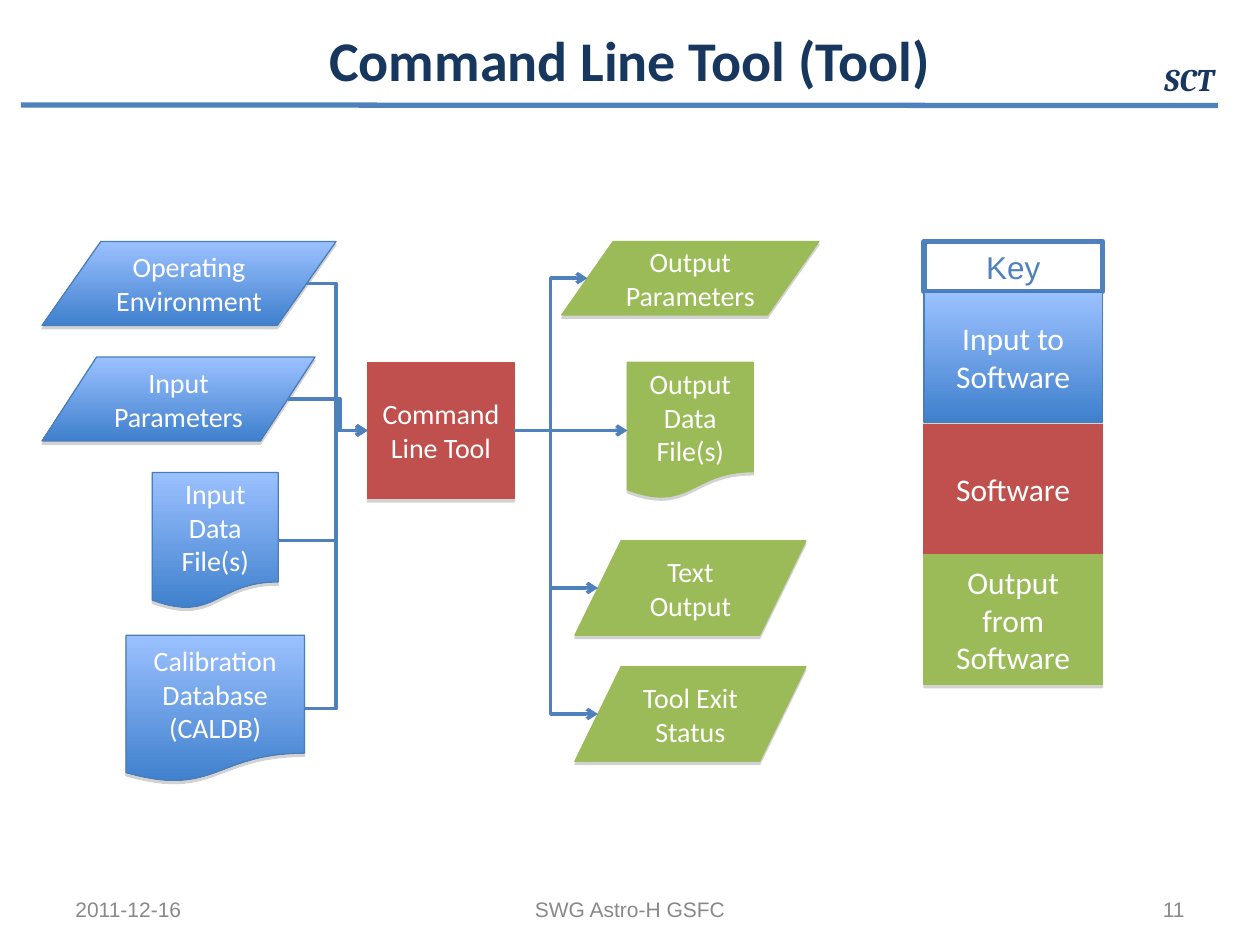
from lxml import etree
from pptx import Presentation
from pptx.dml.color import RGBColor
from pptx.enum.shapes import MSO_CONNECTOR, MSO_SHAPE
from pptx.enum.text import MSO_ANCHOR, PP_ALIGN
from pptx.oxml.ns import qn
from pptx.util import Inches, Pt

RECTANGLE = MSO_SHAPE.RECTANGLE
PROCESS = MSO_SHAPE.FLOWCHART_PROCESS
DOCUMENT = MSO_SHAPE.FLOWCHART_DOCUMENT
DATA = MSO_SHAPE.FLOWCHART_DATA
STRAIGHT = MSO_CONNECTOR.STRAIGHT
ELBOW = MSO_CONNECTOR.ELBOW
LEFT, CENTER, RIGHT = PP_ALIGN.LEFT, PP_ALIGN.CENTER, PP_ALIGN.RIGHT
MIDDLE, TOP = MSO_ANCHOR.MIDDLE, MSO_ANCHOR.TOP

CELLS_PER_INCH = 24
NAVY, BLUE, EDGE, GREY, WHITE = "17375E", "4F81BD", "4A7EBB", "898989", "FFFFFF"
RED, GREEN, GRADIENT = "C0504D", "9BBB59", ("9BC1FF", "3F80CD")

TOOL = (PROCESS, 70, 69, 28, 26, "Command Line Tool")
INPUTS = [
    (DATA, 8, 46, 56, 16, "Operating Environment", 64),
    (DATA, 8, 68, 52, 16, "Input Parameters", 64.8),
    (DOCUMENT, 29, 90, 24, 26, "Input Data File(s)", 63.9),
    (DOCUMENT, 24, 121, 34, 28, "Calibration Database (CALDB)", 64),
]
OUTPUT_FILE = (DOCUMENT, 119.5, 69, 24, 26, "Output Data File(s)")
OUTPUTS = [
    (DATA, 107, 46, 49, 14, "Output Parameters"),
    (DATA, 109.5, 103, 44, 18, "Text Output"),
    (DATA, 109.5, 127, 44, 18, "Tool Exit Status"),
]
OUTPUT_BEND = 104.9
KEY = [("Input to Software", GRADIENT, 55.6),
       ("Software", RED, 80.8),
       ("Output from Software", GREEN, 105.6)]
FOOTERS = [("2011-12-16", 12, 56, LEFT),
           ("SWG Astro-H GSFC", 82, 76, CENTER),
           ("11", 172, 56, RIGHT)]


def cells(count):
    return Inches(count / CELLS_PER_INCH)


def color(value):
    return RGBColor.from_string(value)


def write(box, text, size, font, tint, align=CENTER, anchor=MIDDLE, wrap=True, **style):
    frame = box.text_frame
    frame.word_wrap = wrap
    frame.vertical_anchor = anchor
    para = frame.paragraphs[0]
    para.alignment = align
    span = para.add_run()
    span.text = text
    span.font.size = Pt(size)
    span.font.name = font
    span.font.color.rgb = color(tint)
    for name, value in style.items():
        setattr(span.font, name, value)


def add_label(page, column, row, width, height, text, size, font, tint, **style):
    box = page.shapes.add_textbox(*map(cells, (column, row, width, height)))
    write(box, text, size, font, tint, **style)


def add_drop_shadow(shape):
    effects = shape._element.spPr.find(qn("a:effectLst"))
    shadow = etree.SubElement(effects, qn("a:outerShdw"), blurRad="0",
                              dist=str(Pt(1.8)), dir="5400000", rotWithShape="0")
    tint = etree.SubElement(shadow, qn("a:srgbClr"), val="808080")
    etree.SubElement(tint, qn("a:alpha"), val="35000")


def add_block(page, kind, column, row, width, height, text, fill, size=16):
    shape = page.shapes.add_shape(kind, *map(cells, (column, row, width, height)))
    shape.shadow.inherit = False
    if fill == GRADIENT:
        shape.fill.gradient()
        shape.fill.gradient_angle = 270
        for stop, tint in zip(shape.fill.gradient_stops, GRADIENT):
            stop.color.rgb = color(tint)
    else:
        shape.fill.solid()
        shape.fill.fore_color.rgb = color(fill)
    shape.line.color.rgb = color(EDGE if fill == GRADIENT else fill)
    shape.line.width = Pt(0.75)
    add_drop_shadow(shape)
    write(shape, text, size, "Calibri", WHITE)
    return shape


def add_line(page, kind, start, end, width, arrow=True):
    line = page.shapes.add_connector(kind, *map(cells, start + end))
    line.line.color.rgb = color(BLUE)
    line.line.width = Pt(width)
    properties = line._element.spPr
    if arrow:
        etree.SubElement(properties.find(qn("a:ln")), qn("a:tailEnd"), type="arrow")
    etree.SubElement(properties, qn("a:effectLst"))
    return line


def add_elbow(page, start, end, bend):
    line = add_line(page, ELBOW, start, end, 2)
    geometry = line._element.spPr.find(qn("a:prstGeom"))
    share = round((bend - start[0]) / (end[0] - start[0]) * 100000)
    etree.SubElement(geometry.find(qn("a:avLst")), qn("a:gd"),
                     name="adj1", fmla=f"val {share}")


def side_point(block, right):
    kind, column, row, width, height = block[:5]
    inset = width / 10 if kind == DATA else 0
    x = column + width - inset if right else column + inset
    return x, row + height / 2


def add_frame(page):
    add_line(page, STRAIGHT, (4, 20), (232, 20.1), 3, arrow=False)
    add_label(page, 219.4, 10.3, 15.8, 9.6, "SCT", 18, "Cambria", NAVY,
              align=LEFT, anchor=TOP, wrap=False, bold=True, italic=True)
    title = page.shapes.title
    title.left, title.top, title.width, title.height = map(cells, (12, 2, 216, 18.7))
    write(title, "Command Line Tool (Tool)", 32, "Calibri", NAVY, bold=True)
    for text, column, width, align in FOOTERS:
        add_label(page, column, 170, width, 6.5, text, 12, "Arial", GREY, align=align)


def add_key(page):
    header = page.shapes.add_shape(RECTANGLE, *map(cells, (176, 46, 34, 9.6)))
    header.shadow.inherit = False
    header.fill.background()
    header.line.color.rgb = color(BLUE)
    header.line.width = Pt(3)
    write(header, "Key", 18, "Arial", BLUE)
    for text, fill, row in KEY:
        add_block(page, RECTANGLE, 176, row, 34, 24.8, text, fill, 18)


def add_flow(page):
    tool = add_block(page, *TOOL, RED)
    output_file = add_block(page, *OUTPUT_FILE, GREEN)
    entry, leave = side_point(TOOL, False), side_point(TOOL, True)
    for *block, bend in INPUTS:
        add_block(page, *block, GRADIENT)
        add_elbow(page, side_point(block, True), entry, bend)
    for block in OUTPUTS:
        add_block(page, *block, GREEN)
        add_elbow(page, leave, side_point(block, False), OUTPUT_BEND)
    arrow = add_line(page, STRAIGHT, leave, side_point(OUTPUT_FILE, False), 2)
    arrow.begin_connect(tool, 3)
    arrow.end_connect(output_file, 1)


def main():
    deck = Presentation()
    deck.slide_width, deck.slide_height = Inches(10), Inches(7.5)
    page = deck.slides.add_slide(deck.slide_layouts[5])
    add_frame(page)
    add_key(page)
    add_flow(page)
    deck.save("out.pptx")


if __name__ == "__main__":
    main()
